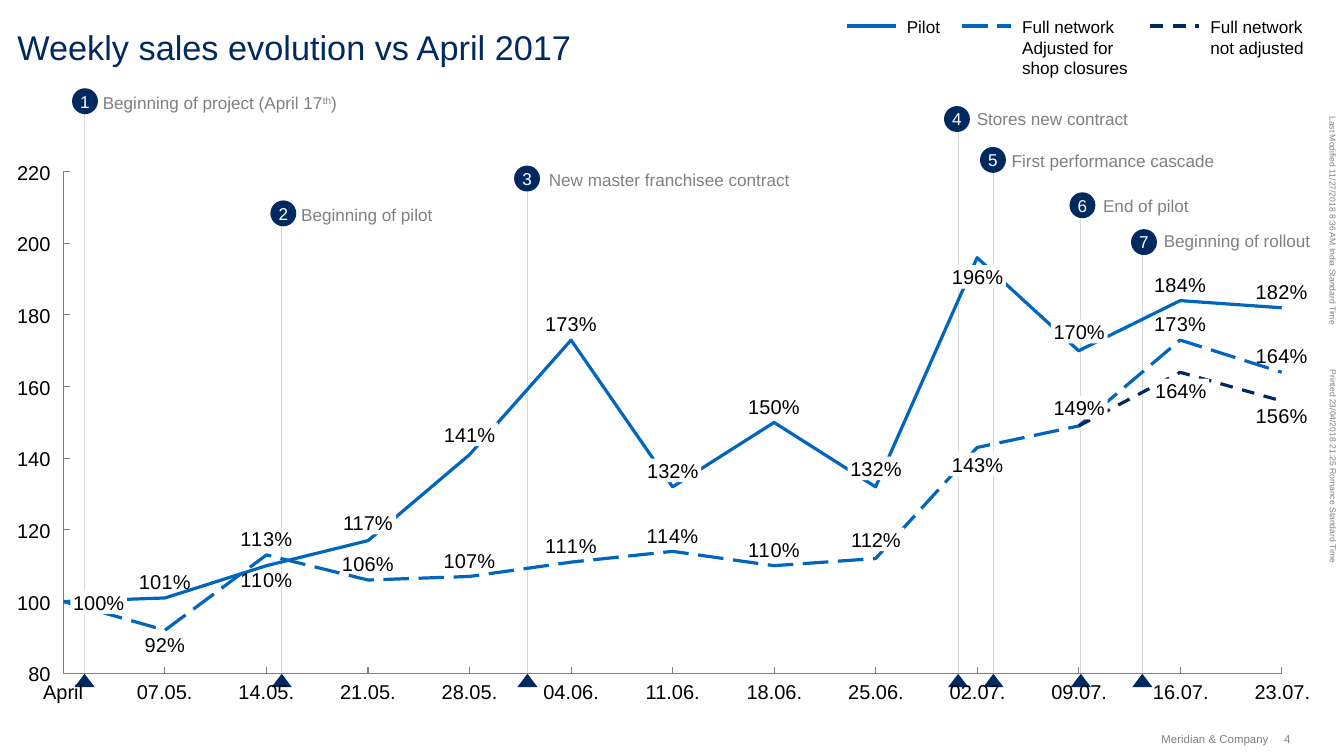
from lxml import etree
from pptx import Presentation
from pptx.chart.data import CategoryChartData
from pptx.dml.color import RGBColor
from pptx.enum.chart import XL_CHART_TYPE, XL_LABEL_POSITION, XL_TICK_LABEL_POSITION, XL_TICK_MARK
from pptx.enum.dml import MSO_LINE
from pptx.enum.shapes import MSO_CONNECTOR, MSO_SHAPE
from pptx.enum.text import MSO_ANCHOR, PP_ALIGN
from pptx.oxml import parse_xml
from pptx.oxml.ns import nsdecls, qn
from pptx.util import Cm, Pt

NAVY, BLUE, GREY, LIGHT, BLACK, WHITE = "002960", "0065BD", "808080", "D9D9D9", "000000", "FFFFFF"
LEFT, CENTER, RIGHT = PP_ALIGN.LEFT, PP_ALIGN.CENTER, PP_ALIGN.RIGHT
TOP, MIDDLE, BOTTOM = MSO_ANCHOR.TOP, MSO_ANCHOR.MIDDLE, MSO_ANCHOR.BOTTOM


def rgb(color):
    return RGBColor.from_string(color)


def write(shape, text, size, color, align=LEFT, anchor=MIDDLE):
    tf = shape.text_frame
    tf.word_wrap = False
    tf.margin_left = tf.margin_right = tf.margin_top = tf.margin_bottom = 0
    tf.vertical_anchor = anchor
    tf.text = text
    for p in tf.paragraphs:
        p.alignment = align
        p.font.name, p.font.size = "Arial", Pt(size)
        p.font.color.rgb = rgb(color)
    return tf


prs = Presentation()
prs.slide_width, prs.slide_height = Cm(33.2), Cm(18.67)
s = prs.slides.add_slide(prs.slide_layouts[6])
sp = s.shapes

# Title, footer and side notes
box = sp.add_textbox(Cm(0.43), Cm(0.64), Cm(20), Cm(1.02))
write(box, "Weekly sales evolution vs April 2017", 24, NAVY, anchor=TOP)
box = sp.add_textbox(Cm(28.52), Cm(18.08), Cm(2.82), Cm(0.33))
write(box, "Meridian & Company", 8, GREY, RIGHT)
box = sp.add_textbox(Cm(31.72), Cm(18.08), Cm(0.36), Cm(0.33))
write(box, "4", 8, GREY)
for x, y, w, text in [
    (30.3, 5.38, 5.26, "Last Modified 11/27/2018 8:36 AM India Standard Time"),
    (30.51, 11.43, 4.85, "Printed 23/04/2018 21:25 Romance Standard Time"),
]:
    box = sp.add_textbox(Cm(x), Cm(y), Cm(w), Cm(0.25))
    box.rotation = 90
    write(box, text, 6, GREY, anchor=TOP)

# Legend: line start, text left, width, height, colour, dash, text
legend = [
    (20.93, 22.4, 1.2, 0.51, BLUE, MSO_LINE.SOLID, "Pilot"),
    (23.77, 25.25, 3, 1.52, BLUE, MSO_LINE.LONG_DASH, "Full network\nAdjusted for \vshop closures"),
    (28.42, 29.9, 2.7, 1.02, NAVY, MSO_LINE.DASH, "Full network\nnot adjusted"),
]
# Events: circle left, top, text left, top, width, marker centre, text
events = [
    (1.78, 2.18, 2.54, 2.29, 6.2, 2.09, "Beginning of project (April 17"),
    (6.68, 4.95, 7.44, 5.05, 3.7, 6.96, "Beginning of pilot"),
    (12.7, 4.09, 13.56, 4.19, 6.3, 13.03, "New master franchisee contract"),
    (23.32, 2.62, 24.13, 2.67, 4.1, 23.67, "Stores new contract"),
    (24.21, 3.63, 24.99, 3.71, 5.4, 24.54, "First performance cascade"),
    (26.42, 4.75, 27.25, 4.83, 2.6, 26.7, "End of pilot"),
    (27.94, 5.66, 28.75, 5.69, 4, 28.22, "Beginning of rollout"),
]

# Legend samples and event lines
lines = [(x, 0.64, x + 1.2, 0.64, color, 2.25, dash) for x, _, _, _, color, dash, _ in legend]
lines += [(e[5], e[1] + 0.32, e[5], 16.64, LIGHT, 0.75, MSO_LINE.SOLID) for e in events]
for x1, y1, x2, y2, color, width, dash in lines:
    line = sp.add_connector(MSO_CONNECTOR.STRAIGHT, Cm(x1), Cm(y1), Cm(x2), Cm(y2))
    line.line.color.rgb = rgb(color)
    line.line.width = Pt(width)
    line.line.dash_style = dash
    etree.SubElement(line._element.spPr, qn("a:effectLst"))

for _, x, w, h, _, _, text in legend:
    write(sp.add_textbox(Cm(x), Cm(0.41), Cm(w), Cm(h)), text, 12, BLACK)

# Numbered events with markers on the time axis
for number, (x, y, text_x, text_y, w, marker, text) in enumerate(events, 1):
    triangle = sp.add_shape(MSO_SHAPE.ISOSCELES_TRIANGLE, Cm(marker - 0.25), Cm(16.64), Cm(0.5), Cm(0.33))
    circle = sp.add_shape(MSO_SHAPE.OVAL, Cm(x), Cm(y), Cm(0.64), Cm(0.64))
    for shape in (triangle, circle):
        shape.shadow.inherit = False
        shape.fill.solid()
        shape.fill.fore_color.rgb = rgb(NAVY)
        shape.line.fill.background()
    write(circle, str(number), 12, WHITE, CENTER)
    box = sp.add_textbox(Cm(text_x), Cm(text_y), Cm(w), Cm(0.51))
    tf = write(box, text, 12, GREY, anchor=BOTTOM)
    if number == 1:
        p = tf.paragraphs[0]
        r = p.add_run()
        r.text = "th"
        r._r.get_or_add_rPr().set("baseline", "30000")
        p.add_run().text = ")"

# Line chart
dates = ["April", "07.05.", "14.05.", "21.05.", "28.05.", "04.06.", "11.06.",
         "18.06.", "25.06.", "02.07.", "09.07.", "16.07.", "23.07."]
pilot = [100, 101, 110, 117, 141, 173, 132, 150, 132, 196, 170, 184, 182]
adjusted = [100, 92, 113, 106, 107, 111, 114, 110, 112, 143, 149, 173, 164]
not_adjusted = [None] * 10 + [149, 164, 156]
data = CategoryChartData(number_format='0"%"')
data.categories = dates
for name, values in [("Pilot", pilot), ("Full network adjusted", adjusted),
                     ("Full network not adjusted", not_adjusted)]:
    data.add_series(name, values)
chart = sp.add_chart(XL_CHART_TYPE.LINE, Cm(1.35), Cm(4.01), Cm(31.09), Cm(12.85), data).chart
chart.has_legend = chart.has_title = False
chart.font.name, chart.font.size = "Arial", Pt(14)
chart.font.color.rgb = rgb(BLACK)
chart.plots[0].vary_by_categories = False

for axis in (chart.category_axis, chart.value_axis):
    axis.has_major_gridlines = False
    axis.major_tick_mark = XL_TICK_MARK.INSIDE
    axis.minor_tick_mark = XL_TICK_MARK.NONE
    axis.tick_label_position = XL_TICK_LABEL_POSITION.NONE
    axis.format.line.color.rgb = rgb(GREY)
    axis.format.line.width = Pt(0.75)
axis = chart.value_axis
axis.minimum_scale, axis.maximum_scale, axis.major_unit = 80, 220, 20

# Points sit on the tick marks
val_ax = axis._element
for old in val_ax.findall(qn("c:crossBetween")):
    val_ax.remove(old)
val_ax.find(qn("c:crosses")).addnext(parse_xml(f'<c:crossBetween {nsdecls("c")} val="midCat"/>'))

# Fixed plot area
plot_area = chart._chartSpace.chart.plotArea
for old in plot_area.findall(qn("c:layout")):
    plot_area.remove(old)
plot_area.insert(0, parse_xml(
    f'<c:layout {nsdecls("c")}><c:manualLayout><c:layoutTarget val="inner"/>'
    '<c:xMode val="edge"/><c:yMode val="edge"/><c:x val="0.007"/><c:y val="0.018"/>'
    '<c:w val="0.968"/><c:h val="0.964"/></c:manualLayout></c:layout>'))

# Series lines, with the points labelled above and below
series_styles = [([1, 5, 7, 11, 12], [2]), ([2, 3, 4, 5, 6, 7, 11, 12], [1]), ([], [12])]
for series, (above, below), (_, _, _, _, color, dash, _) in zip(chart.series, series_styles, legend):
    series.smooth = False
    series.format.line.color.rgb = rgb(color)
    series.format.line.width = Pt(2.25)
    series.format.line.dash_style = dash
    series.data_labels.show_value = False
    for i in above + below:
        position = XL_LABEL_POSITION.ABOVE if i in above else XL_LABEL_POSITION.BELOW
        series.points[i].data_label.position = position

# Axis labels
plot_left, step = 1.56, 2.51
for i in range(8):
    box = sp.add_textbox(Cm(0.05), Cm(16.38 - 1.77 * i), Cm(1.2), Cm(0.53))
    write(box, str(80 + 20 * i), 14, BLACK, RIGHT)
for i, date in enumerate(dates):
    box = sp.add_textbox(Cm(plot_left + step * i - 0.8), Cm(16.79), Cm(1.6), Cm(0.58))
    write(box, date, 14, BLACK, CENTER, TOP)

# Labels on white: position along the axis, top, value
for i, y, value in [
    (0.35, 14.58, 100), (3, 12.62, 117), (4, 10.44, 141), (6, 11.33, 132), (8, 11.28, 132),
    (8, 13.03, 112), (9, 6.55, 196), (9, 11.18, 143), (10, 7.9, 170), (10, 9.78, 149), (11, 9.35, 164),
]:
    box = sp.add_textbox(Cm(plot_left + step * i - 0.7), Cm(y), Cm(1.4), Cm(0.58))
    box.fill.solid()
    box.fill.fore_color.rgb = rgb(WHITE)
    write(box, f"{value}%", 14, BLACK, CENTER)

prs.save("out.pptx")
